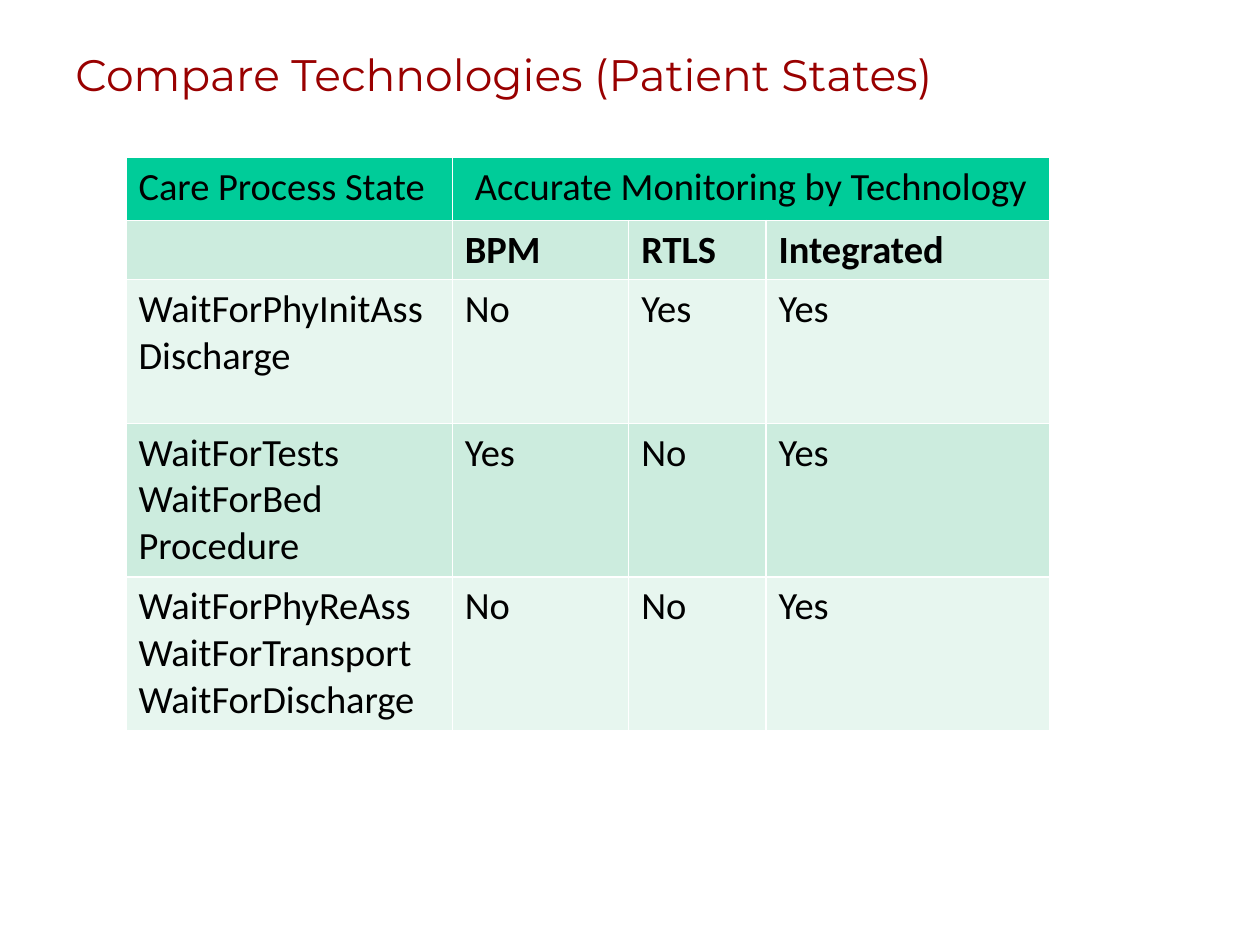
from pptx import Presentation
from pptx.dml.color import RGBColor
from pptx.enum.text import MSO_ANCHOR, PP_ALIGN
from pptx.util import Inches, Pt

TITLE = "Compare Technologies (Patient States)"
ROWS = [
    ("Care Process State", "Accurate Monitoring by Technology", "", ""),
    ("", "BPM", "RTLS", "Integrated"),
    ("WaitForPhyInitAss\nDischarge", "No", "Yes", "Yes"),
    ("WaitForTests\nWaitForBed\nProcedure", "Yes", "No", "Yes"),
    ("WaitForPhyReAss\nWaitForTransport\nWaitForDischarge", "No", "No", "Yes"),
]
WIDTHS = [2.59, 1.4, 1.09, 2.25]
HEIGHTS = [0.5, 0.47, 1.14, 1.22, 1.22]
HEAD, BANDS = "00CC99", ("E7F6EF", "CCECDE")


def style(para, name, size, color, bold=False):
    font = para.font
    font.name, font.size, font.bold = name, Pt(size), bold
    font.color.rgb = RGBColor.from_string(color)


def add_title(slide):
    box = slide.shapes.add_textbox(Inches(0.5), Inches(0.42), Inches(9), Inches(0.33))
    frame = box.text_frame
    frame.word_wrap = True
    frame.vertical_anchor = MSO_ANCHOR.MIDDLE
    frame.text = TITLE
    style(frame.paragraphs[0], "Montserrat", 25.2, "990000")


def add_states(slide):
    """Add the table of care states; its default style draws the white rules."""
    table = slide.shapes.add_table(
        len(ROWS), len(WIDTHS), Inches(1), Inches(1.25),
        Inches(sum(WIDTHS)), Inches(sum(HEIGHTS))).table
    for col, width in zip(table.columns, WIDTHS):
        col.width = Inches(width)
    for r, (row, height) in enumerate(zip(ROWS, HEIGHTS)):
        table.rows[r].height = Inches(height)
        for c, text in enumerate(row):
            cell = table.cell(r, c)
            cell.fill.solid()
            cell.fill.fore_color.rgb = RGBColor.from_string(BANDS[r % 2] if r else HEAD)
            cell.text = text
            for para in cell.text_frame.paragraphs:
                style(para, "Calibri", 22, "000000", bold=r == 1)
    group = table.cell(0, 1)
    group.merge(table.cell(0, 3))
    group.text_frame.paragraphs[0].alignment = PP_ALIGN.CENTER


def main():
    deck = Presentation()
    deck.slide_width, deck.slide_height = Inches(10), Inches(7.5)
    slide = deck.slides.add_slide(deck.slide_layouts[6])
    add_title(slide)
    add_states(slide)
    deck.save("out.pptx")


if __name__ == "__main__":
    main()
